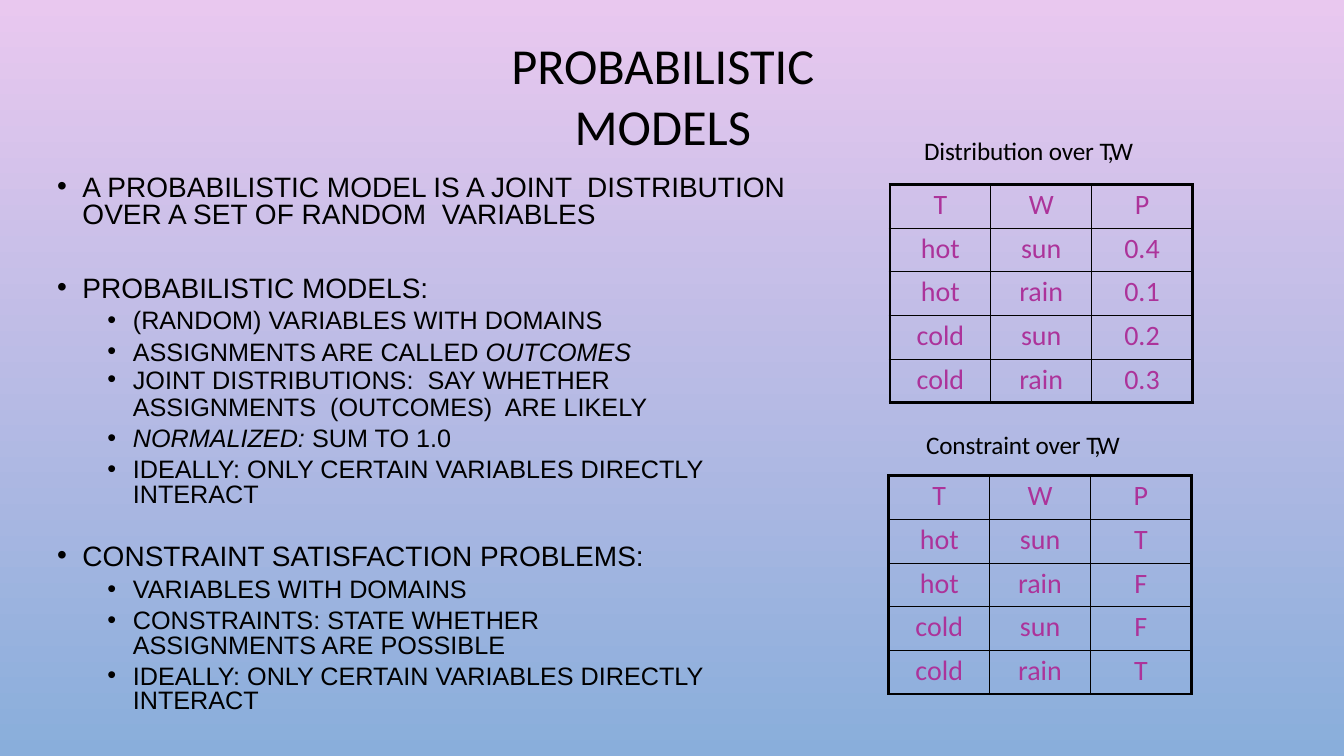
from lxml import etree
from pptx import Presentation
from pptx.dml.color import RGBColor
from pptx.enum.text import MSO_ANCHOR, MSO_AUTO_SIZE, PP_ALIGN
from pptx.oxml.ns import qn
from pptx.util import Cm, Pt

CENTER = PP_ALIGN.CENTER
MIDDLE = MSO_ANCHOR.MIDDLE
TOP = MSO_ANCHOR.TOP
NO_FIT = MSO_AUTO_SIZE.NONE
TITLE_ONLY = 5
EXACT = Pt(19.4)


def color(code):
    return RGBColor.from_string(code)


class Deck:
    ink, accent = "000000", "AC339A"
    head, body = "Calibri", "Arial"
    hang = 0.64

    def __init__(self):
        self.prs = Presentation()
        self.prs.slide_width = Cm(33.87)
        self.prs.slide_height = Cm(19.05)
        self.slide = self.prs.slides.add_slide(
            self.prs.slide_layouts[TITLE_ONLY])

    def back(self, *codes):
        fill = self.slide.background.fill
        fill.gradient()
        fill.gradient_angle = 270
        for stop, code in zip(fill.gradient_stops, codes):
            stop.color.rgb = color(code)

    def font(self, run, name, size, code):
        run.font.name = name
        run.font.size = Pt(size)
        run.font.color.rgb = color(code)

    def frame(self, shape, top=0.03):
        frame = shape.text_frame
        frame.word_wrap = True
        frame.auto_size = NO_FIT
        frame.margin_left = frame.margin_right = frame.margin_bottom = 0
        frame.margin_top = Cm(top)
        return frame

    def box(self, x, y, w, h, top=0.03):
        shape = self.slide.shapes.add_textbox(Cm(x), Cm(y), Cm(w), Cm(h))
        return self.frame(shape, top)

    def title(self, text, x, y, w, h):
        shape = self.slide.shapes.title
        shape.left, shape.top = Cm(x), Cm(y)
        shape.width, shape.height = Cm(w), Cm(h)
        frame = self.frame(shape)
        frame.vertical_anchor = MIDDLE
        frame.text = text
        para = frame.paragraphs[0]
        para.alignment = CENTER
        self.font(para.runs[0], self.head, 36, self.ink)

    def label(self, text, tail, x, y):
        para = self.box(x, y, 6.5, 0.8).paragraphs[0]
        for part, gap in ((text, -10), (tail, -110)):
            run = para.add_run()
            run.text = part
            self.font(run, self.head, 18, self.ink)
            run.font._element.set("spc", str(gap))

    def list(self, items, x, y, w, h, top=0.03):
        """Items hold text, size, left step, space before, line spacing,
        bullet flag and right margin; asterisks enclose italics."""
        frame = self.box(x, y, w, h, top)
        for i, (text, size, step, before, line, dot, right) in enumerate(items):
            para = frame.add_paragraph() if i else frame.paragraphs[0]
            props = para._p.get_or_add_pPr()
            props.set("marL", str(Cm(step + 0.66)))
            props.set("marR", str(Cm(right)))
            props.set("indent", str(Cm(-self.hang) if dot else 0))
            if dot:
                etree.SubElement(props, qn("a:buFont"), typeface=self.body)
                etree.SubElement(props, qn("a:buChar"), char="•")
            para.line_spacing = line
            para.space_before = Pt(before if i else 0)
            for j, part in enumerate(text.split("*")):
                if part:
                    run = para.add_run()
                    run.text = part
                    run.font.italic = j % 2 == 1
                    self.font(run, self.body, size, self.ink)

    def edge(self, cell, side, width):
        line = etree.SubElement(cell._tc.get_or_add_tcPr(), qn("a:ln" + side),
                                w=str(Pt(width)))
        fill = etree.SubElement(line, qn("a:solidFill"))
        etree.SubElement(fill, qn("a:srgbClr"), val=self.ink)

    def table(self, rows, x, y, wide=2.54, high=1.1):
        count, cols = len(rows), len(rows[0])
        table = self.slide.shapes.add_table(
            count, cols, Cm(x), Cm(y), Cm(wide * cols), Cm(high * count)).table
        table.first_row = table.horz_banding = False
        for r, row in enumerate(rows):
            table.rows[r].height = Cm(high)
            for c, text in enumerate(row):
                cell = table.cell(r, c)
                cell.margin_left = cell.margin_right = cell.margin_bottom = 0
                cell.margin_top = Cm(0.08)
                cell.vertical_anchor = TOP
                cell.text_frame.text = text
                para = cell.text_frame.paragraphs[0]
                para.alignment = CENTER
                self.font(para.runs[0], self.head, 20, self.accent)
                # Heavy outer frame, thin inner grid
                outer = {"L": c == 0, "R": c == cols - 1,
                         "T": r == 0, "B": r == count - 1}
                for side, heavy in outer.items():
                    self.edge(cell, side, 2.25 if heavy else 1)
                cell.fill.background()


def main():
    deck = Deck()
    deck.back("E9C8EF", "89AEDB")
    deck.title("PROBABILISTIC MODELS", 10.53, 1.57, 12.35, 1.6)

    # Bullet lists
    ideal = "IDEALLY: ONLY CERTAIN VARIABLES DIRECTLY  INTERACT"
    deck.list([
        ("A PROBABILISTIC MODEL IS A JOINT  DISTRIBUTION OVER A SET OF "
         "RANDOM  VARIABLES", 20, 0, 0, 0.8, True, 0),
    ], 1.42, 4.24, 18.7, 1.57, 0.2)
    deck.list([
        ("PROBABILISTIC MODELS:", 20, 0, 0, 1.0, True, 0),
    ], 1.42, 6.78, 10.44, 0.89)
    deck.list([
        ("(RANDOM) VARIABLES WITH DOMAINS", 18, 0, 0, 1.0, True, 0),
        ("ASSIGNMENTS ARE CALLED *OUTCOMES*", 18, 0, 0.6, 1.0, True, 0),
        ("JOINT DISTRIBUTIONS:  SAY WHETHER", 18, 0, 0.7, EXACT, True, 0),
        ("ASSIGNMENTS  (OUTCOMES)  ARE LIKELY", 18, 0, 0, EXACT, False, 0),
        ("*NORMALIZED: *SUM TO 1.0", 18, 0, 0.8, 1.0, True, 0),
        (ideal, 18, 0, 4.9, 0.8, True, 0),
    ], 2.69, 7.65, 15.93, 5.21)
    deck.list([
        ("CONSTRAINT SATISFACTION PROBLEMS:", 20, 0, 0, 1.0, True, 0),
        ("VARIABLES WITH DOMAINS", 18, 1.27, 0.8, 1.0, True, 0),
        ("CONSTRAINTS: STATE WHETHER  ASSIGNMENTS ARE POSSIBLE",
         18, 1.27, 5, 0.8, True, 3),
        (ideal, 18, 1.27, 5, 0.8, True, 0),
    ], 1.42, 13.54, 18.7, 4.52)

    # Tables with their labels
    head = ("T", "W", "P")
    pairs = [("hot", "sun"), ("hot", "rain"), ("cold", "sun"), ("cold", "rain")]
    blocks = [
        ("Distribution over ", 23.29, 3.38, 22.43, 4.65,
         ("0.4", "0.1", "0.2", "0.3")),
        ("Constraint over ", 23.34, 10.8, 22.4, 11.99, ("T", "F", "F", "T")),
    ]
    for text, left, top, x, y, last in blocks:
        deck.label(text, "T,W", left, top)
        rows = [(*pair, end) for pair, end in zip(pairs, last)]
        deck.table([head] + rows, x, y)

    deck.prs.save("out.pptx")


if __name__ == "__main__":
    main()
